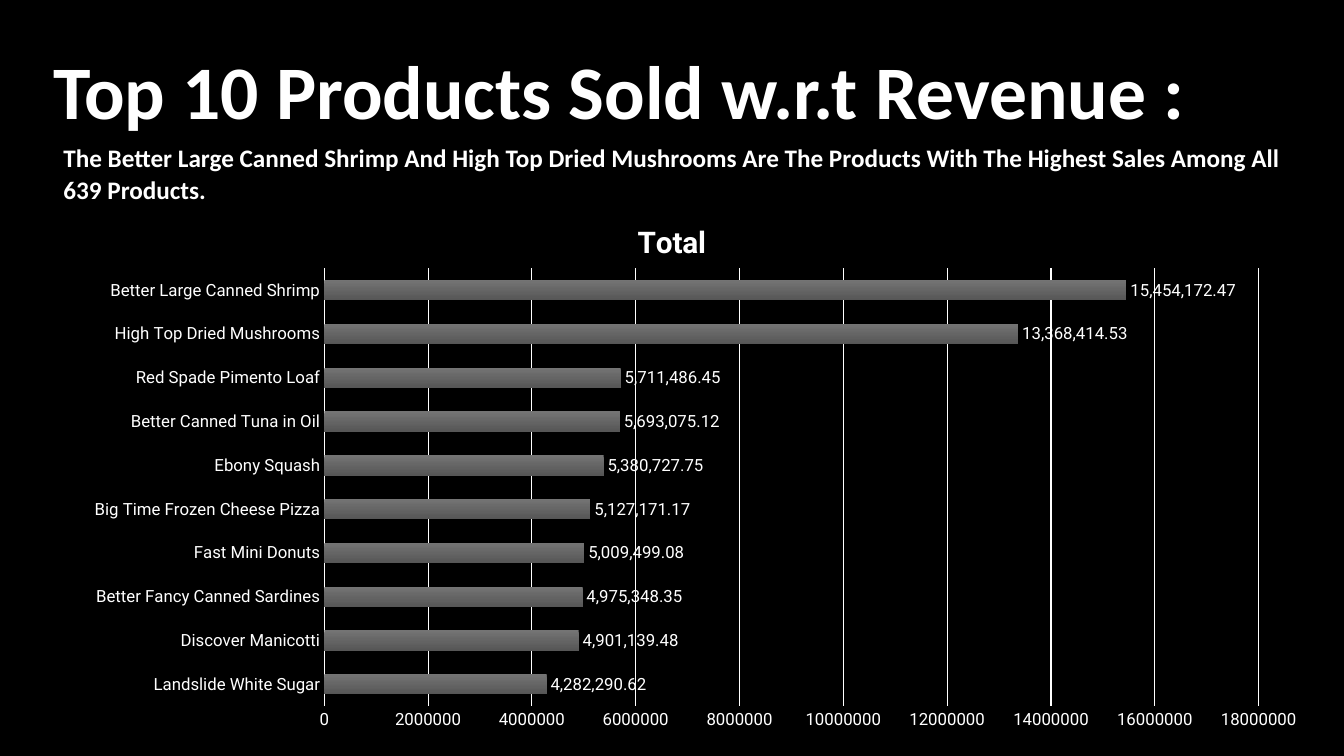
from dataclasses import dataclass

from lxml import etree
from pptx import Presentation
from pptx.chart import data as chart_data
from pptx.dml.color import RGBColor
from pptx.enum import chart as chart_enum, text as text_enum
from pptx.oxml import ns
from pptx.util import Pt

BLACK = RGBColor(0x00, 0x00, 0x00)
WHITE = RGBColor(0xFF, 0xFF, 0xFF)
BAR_TOP = RGBColor(0x74, 0x74, 0x74)
BAR_BOTTOM = RGBColor(0x56, 0x56, 0x56)

PLOT_AREA = {"x": 0.227, "y": 0.124, "w": 0.734, "h": 0.812}
REVENUE = {
    "Landslide White Sugar": 4282290.62,
    "Discover Manicotti": 4901139.48,
    "Better Fancy Canned Sardines": 4975348.35,
    "Fast Mini Donuts": 5009499.08,
    "Big Time Frozen Cheese Pizza": 5127171.17,
    "Ebony Squash": 5380727.75,
    "Better Canned Tuna in Oil": 5693075.12,
    "Red Spade Pimento Loaf": 5711486.45,
    "High Top Dried Mushrooms": 13368414.53,
    "Better Large Canned Shrimp": 15454172.47,
}


@dataclass(frozen=True)
class Caption:
    words: str
    left: float
    top: float
    width: float
    height: float
    size: float
    frame_format: dict
    para_format: dict


CAPTIONS = [
    Caption(
        "Top 10 Products Sold w.r.t Revenue :", 38.2, 31, 833, 65.5, 54,
        {"margin_left": 0, "margin_top": 0, "margin_right": 0, "margin_bottom": 0},
        {},
    ),
    Caption(
        "The Better Large Canned Shrimp And High Top Dried Mushrooms Are The "
        "Products With The Highest Sales Among All 639 Products.",
        38.2, 96.5, 896.4, 52.6, 18, {},
        {"line_spacing": 1.07, "space_after": Pt(8)},
    ),
]


def apply_format(target, values: dict) -> None:
    for name, value in values.items():
        setattr(target, name, value)


def style_font(font, name: str, size: float, bold: bool = False) -> None:
    apply_format(font, {"name": name, "size": Pt(size), "bold": bold})
    font.color.rgb = WHITE


def add_caption(page, caption: Caption) -> None:
    box = page.shapes.add_textbox(
        Pt(caption.left), Pt(caption.top), Pt(caption.width), Pt(caption.height)
    )
    frame = box.text_frame
    frame_format = {"word_wrap": True, "auto_size": text_enum.MSO_AUTO_SIZE.SHAPE_TO_FIT_TEXT}
    apply_format(frame, frame_format | caption.frame_format)
    para = frame.paragraphs[0]
    apply_format(para, caption.para_format)
    span = para.add_run()
    span.text = caption.words
    style_font(span.font, "Calibri", caption.size, True)


def place_plot_area(chart) -> None:
    plot_area = chart.element.find(".//" + ns.qn("c:plotArea"))
    for old_layout in plot_area.findall(ns.qn("c:layout")):
        plot_area.remove(old_layout)
    layout = etree.Element(ns.qn("c:layout"))
    manual = etree.SubElement(layout, ns.qn("c:manualLayout"))
    settings = {"layoutTarget": "inner", "xMode": "edge", "yMode": "edge"} | PLOT_AREA
    for tag, value in settings.items():
        etree.SubElement(manual, ns.qn(f"c:{tag}")).set("val", str(value))
    plot_area.insert(0, layout)


def style_axes(chart) -> None:
    for axis in (chart.category_axis, chart.value_axis):
        apply_format(axis, {
            "major_tick_mark": chart_enum.XL_TICK_MARK.NONE,
            "minor_tick_mark": chart_enum.XL_TICK_MARK.NONE,
        })
        style_font(axis.tick_labels.font, "Roboto", 12)
    value_axis = chart.value_axis
    apply_format(value_axis, {
        "minimum_scale": 0, "maximum_scale": 18000000,
        "major_unit": 2000000, "has_major_gridlines": True,
    })
    value_axis.format.line.fill.background()
    lines = ((chart.category_axis.format.line, 1), (value_axis.major_gridlines.format.line, 0.75))
    for line, width in lines:
        line.color.rgb = WHITE
        line.width = Pt(width)


def style_bars(chart) -> None:
    plot = chart.plots[0]
    apply_format(plot, {
        "gap_width": 115, "overlap": -20,
        "vary_by_categories": False, "has_data_labels": True,
    })
    fill = plot.series[0].format.fill
    fill.gradient()
    fill.gradient_angle = 270
    for stop, position, color in zip(fill.gradient_stops, (0, 1), (BAR_TOP, BAR_BOTTOM)):
        stop.position = position
        stop.color.rgb = color
    labels = plot.data_labels
    apply_format(labels, {
        "show_value": True, "number_format": "#,##0.00",
        "number_format_is_linked": False,
        "position": chart_enum.XL_LABEL_POSITION.OUTSIDE_END,
    })
    style_font(labels.font, "Roboto", 12)


def add_revenue_chart(page) -> None:
    revenue = chart_data.CategoryChartData()
    revenue.categories = list(REVENUE)
    revenue.add_series("Total", list(REVENUE.values()))
    chart = page.shapes.add_chart(
        chart_enum.XL_CHART_TYPE.BAR_CLUSTERED,
        Pt(25.2), Pt(144), Pt(909.4), Pt(385.2), revenue,
    ).chart
    apply_format(chart, {"has_legend": False, "has_title": True})
    style_font(chart.font, "Roboto", 10)
    title = chart.chart_title
    title.include_in_layout = False
    span = title.text_frame.paragraphs[0].add_run()
    span.text = "Total"
    style_font(span.font, "Roboto", 21.3, True)
    place_plot_area(chart)
    style_axes(chart)
    style_bars(chart)


def main() -> None:
    deck = Presentation()
    apply_format(deck, {"slide_width": Pt(960), "slide_height": Pt(540)})
    page = deck.slides.add_slide(deck.slide_layouts[6])
    background = page.background.fill
    background.solid()
    background.fore_color.rgb = BLACK
    for caption in CAPTIONS:
        add_caption(page, caption)
    add_revenue_chart(page)
    deck.save("out.pptx")


if __name__ == "__main__":
    main()
